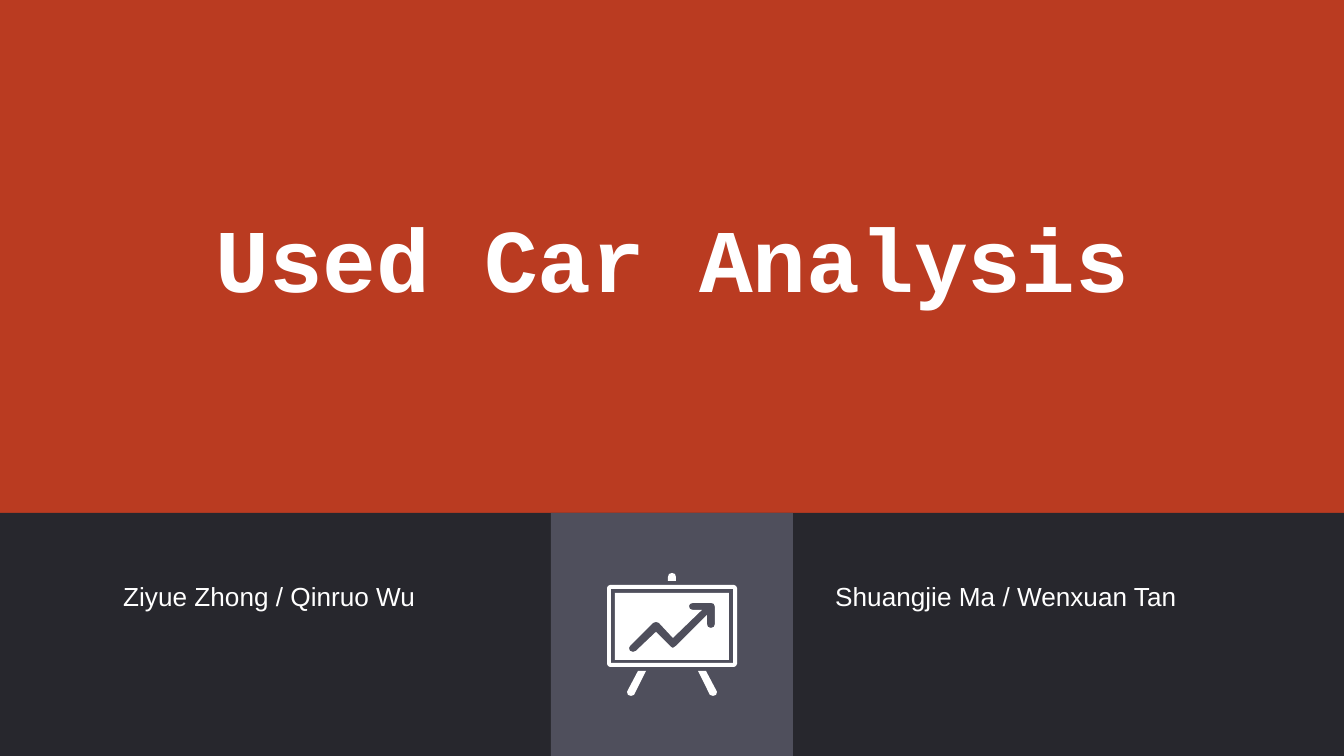
"""Build the title slide of the used car analysis deck."""
import pptx
import pptx.dml.color
import pptx.enum.shapes
import pptx.enum.text
import pptx.util

PX = 914400 / 134.4
WIDTH, HEIGHT = 1344, 756
BAND_TOP = 513
RED = pptx.dml.color.RGBColor(0xBA, 0x3B, 0x21)
DARK = pptx.dml.color.RGBColor(0x27, 0x27, 0x2D)
GREY = pptx.dml.color.RGBColor(0x4F, 0x4F, 0x5C)
WHITE = pptx.dml.color.RGBColor(0xFF, 0xFF, 0xFF)


def paint(shape, color):
    shape.shadow.inherit = False
    shape.fill.solid()
    shape.fill.fore_color.rgb = color
    shape.line.fill.background()


def add_text(box, text, font, size, bold=False):
    left, top, width, height = [round(v * PX) for v in box]
    frame = slide.shapes.add_textbox(left, top, width, height).text_frame
    frame.word_wrap = True
    run = frame.paragraphs[0].add_run()
    run.text = text
    run.font.name = font
    run.font.size = pptx.util.Pt(size)
    run.font.bold = bold
    run.font.color.rgb = WHITE
    return frame


deck = pptx.Presentation()
deck.slide_width = round(WIDTH * PX)
deck.slide_height = round(HEIGHT * PX)
slide = deck.slides.add_slide(deck.slide_layouts[6])
slide.background.fill.solid()
slide.background.fill.fore_color.rgb = RED

for left, width, color in [(0, WIDTH, DARK), (551, 242, GREY)]:
    band = slide.shapes.add_shape(
        pptx.enum.shapes.MSO_SHAPE.RECTANGLE,
        round(left * PX), round(BAND_TOP * PX),
        round(width * PX), round((HEIGHT - BAND_TOP) * PX))
    paint(band, color)

title = add_text((145, 0, 1055, BAND_TOP), "Used Car Analysis", "Courier New", 48, True)
title.vertical_anchor = pptx.enum.text.MSO_ANCHOR.MIDDLE
title.paragraphs[0].alignment = pptx.enum.text.PP_ALIGN.CENTER

frame_edge = [(610, 585), (734, 585), (736, 586), (737, 588), (737, 664), (736, 666),
              (734, 667), (610, 667), (608, 666), (607, 664), (607, 588), (608, 586)]
frame_hole = [(733, 589), (733, 663), (611, 663), (611, 589)]
knob = [(668, 581), (668, 577), (669, 574), (672, 573), (675, 574), (676, 577), (676, 581)]
left_leg = [(638, 671), (628, 690), (627, 692), (628, 695), (631, 696), (634, 695),
            (635, 693), (646, 671)]
right_leg = [(WIDTH - x, y) for x, y in left_leg]
panel = [(615, 593), (615, 660), (729, 660), (729, 593)]
trend_arrow = [(711, 603), (714, 604), (715, 607), (715, 624), (714, 627), (711, 628),
               (708, 627), (707, 624), (707, 615), (676, 646), (673, 648), (671, 647),
               (656, 632), (636, 651), (633, 652), (630, 651), (629, 648), (630, 646),
               (653, 623), (656, 622), (659, 623), (673, 638), (702, 610), (693, 610),
               (690, 609), (689, 606), (690, 604), (693, 603)]

for outlines in [(frame_edge, frame_hole), (knob,), (left_leg,), (right_leg,),
                 (panel, trend_arrow)]:
    builder = slide.shapes.build_freeform(*outlines[0][0], scale=PX)
    builder.add_line_segments(outlines[0][1:])
    for hole in outlines[1:]:
        builder.move_to(*hole[0])
        builder.add_line_segments(hole[1:])
    paint(builder.convert_to_shape(), WHITE)

add_text((822, 574, 477, 46), "Shuangjie Ma / Wenxuan Tan", "Arial", 14)
add_text((110, 574, 364, 77), "Ziyue Zhong / Qinruo Wu", "Arial", 14)

deck.save("out.pptx")
